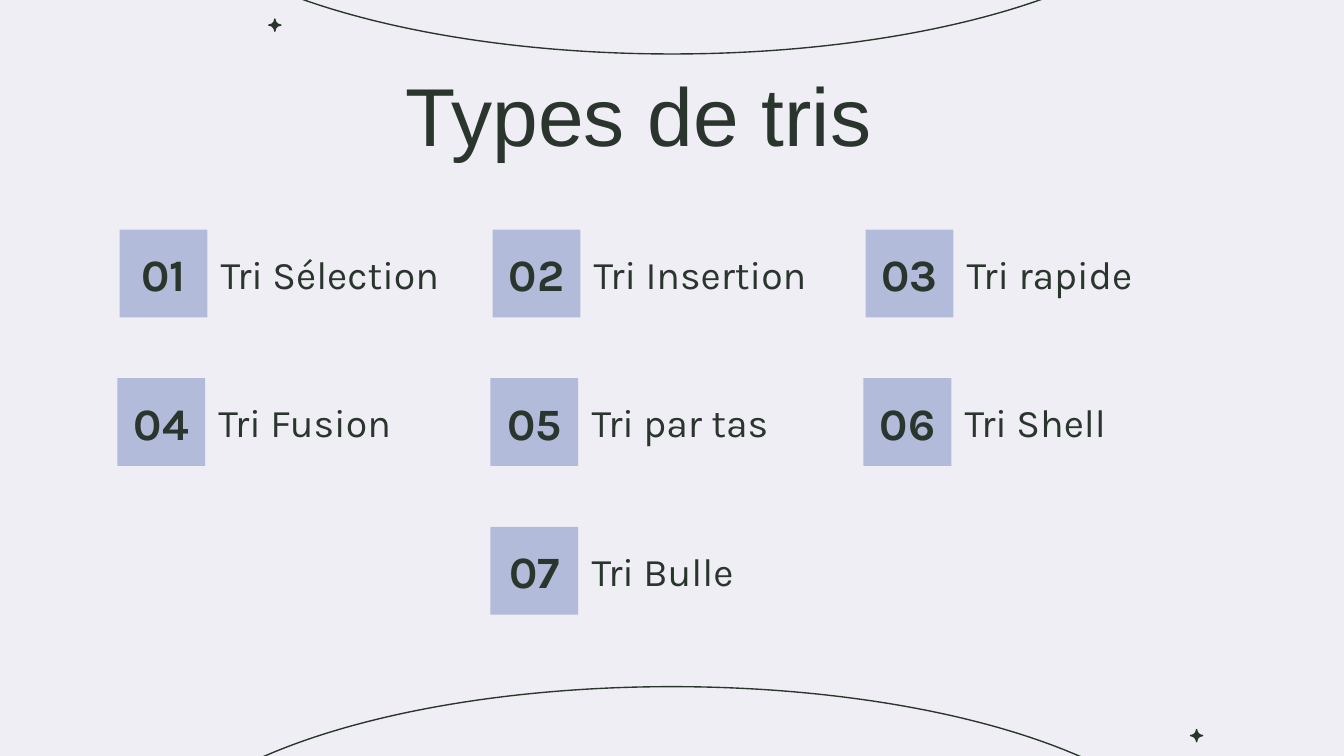
from pptx import Presentation
from pptx.dml.color import RGBColor
from pptx.enum.shapes import MSO_SHAPE
from pptx.enum.text import MSO_ANCHOR, PP_ALIGN
from pptx.util import Cm, Pt

ELLIPSE, PLAQUE, RECTANGLE = MSO_SHAPE.OVAL, MSO_SHAPE.PLAQUE, MSO_SHAPE.RECTANGLE
TOP, MIDDLE = MSO_ANCHOR.TOP, MSO_ANCHOR.MIDDLE
LEFT, CENTER = PP_ALIGN.LEFT, PP_ALIGN.CENTER

COLORS = {"background": "EFEEF4", "ink": "2A362D", "tile": "B2BBDA"}
ROWS = [
    (2.26, 0, ["Tri Sélection", "Tri Insertion", "Tri rapide"]),
    (2.22, 0, ["Tri Fusion", "Tri par tas", "Tri Shell"]),
    (2.22, 1, ["Tri Bulle"]),
]
TILE = 1.66
LABEL_WIDTH = 5.38
COLUMN_STEP = 7.05
ROW_STEP = 2.81


def color(name):
    """Return the named colour."""
    return RGBColor.from_string(COLORS[name])


def add_figure(page, kind, box, fill=None, line=None):
    """Add a preset shape in a box given in centimetres."""
    shape = page.shapes.add_shape(kind, *map(Cm, box))
    shape.shadow.inherit = False
    if fill:
        shape.fill.solid()
        shape.fill.fore_color.rgb = color(fill)
    else:
        shape.fill.background()
    if line:
        shape.line.color.rgb = color(line)
        shape.line.width = Pt(0.75)
    else:
        shape.line.fill.background()
    return shape


def write(shape, text, font, size, align=LEFT, anchor=MIDDLE, bold=False):
    """Put one formatted paragraph into a shape."""
    frame = shape.text_frame
    frame.text = text
    frame.word_wrap = True
    frame.vertical_anchor = anchor
    frame.margin_left = frame.margin_right = Cm(0.25)
    frame.margin_top = frame.margin_bottom = Cm(0.25)
    para = frame.paragraphs[0]
    para.alignment = align
    span = para.runs[0]
    span.font.name = font
    span.font.size = Pt(size)
    span.font.bold = bold
    span.font.color.rgb = color("ink")


def add_decor(page, width, height):
    """Draw the two arcs and the two sparkles around the page."""
    arc_width, arc_height = 20.07, 7.32
    for top in (-6.3, height - 1.31):
        arc_box = ((width - arc_width) / 2, top, arc_width, arc_height)
        add_figure(page, ELLIPSE, arc_box, line="ink")
    for left, top in ((5.08, 0.36), (22.5, 13.79)):
        sparkle = add_figure(page, PLAQUE, (left, top, 0.23, 0.23), "ink", "ink")
        sparkle.adjustments[0] = 0.5


def add_title(page, box):
    """Write the slide title."""
    title = page.shapes.add_textbox(*map(Cm, box))
    write(title, "Types de tris", "Arial", 44, CENTER, TOP)


def add_entry(page, left, top, number, name):
    """Add a numbered tile with its sort name beside it."""
    tile = add_figure(page, RECTANGLE, (left, top, TILE, TILE), "tile")
    write(tile, f"{number:02d}", "Karla", 24, CENTER, bold=True)
    label_box = (left + TILE, top, LABEL_WIDTH, TILE)
    label = page.shapes.add_textbox(*map(Cm, label_box))
    write(label, name, "Karla", 21)


def add_sorts(page, top):
    """Lay out the numbered sorts row by row."""
    number = 1
    for row, (left, first_column, names) in enumerate(ROWS):
        for column, name in enumerate(names, first_column):
            add_entry(page, left + column * COLUMN_STEP, top + row * ROW_STEP, number, name)
            number += 1


def main():
    """Build and save the deck."""
    width, height = 25.4, 14.29
    deck = Presentation()
    deck.slide_width, deck.slide_height = Cm(width), Cm(height)
    page = deck.slides.add_slide(deck.slide_layouts[6])
    page.background.fill.solid()
    page.background.fill.fore_color.rgb = color("background")
    add_decor(page, width, height)
    add_title(page, (1.37, 0.97, 21.41, 2.46))
    add_sorts(page, 4.34)
    deck.save("out.pptx")


if __name__ == "__main__":
    main()
